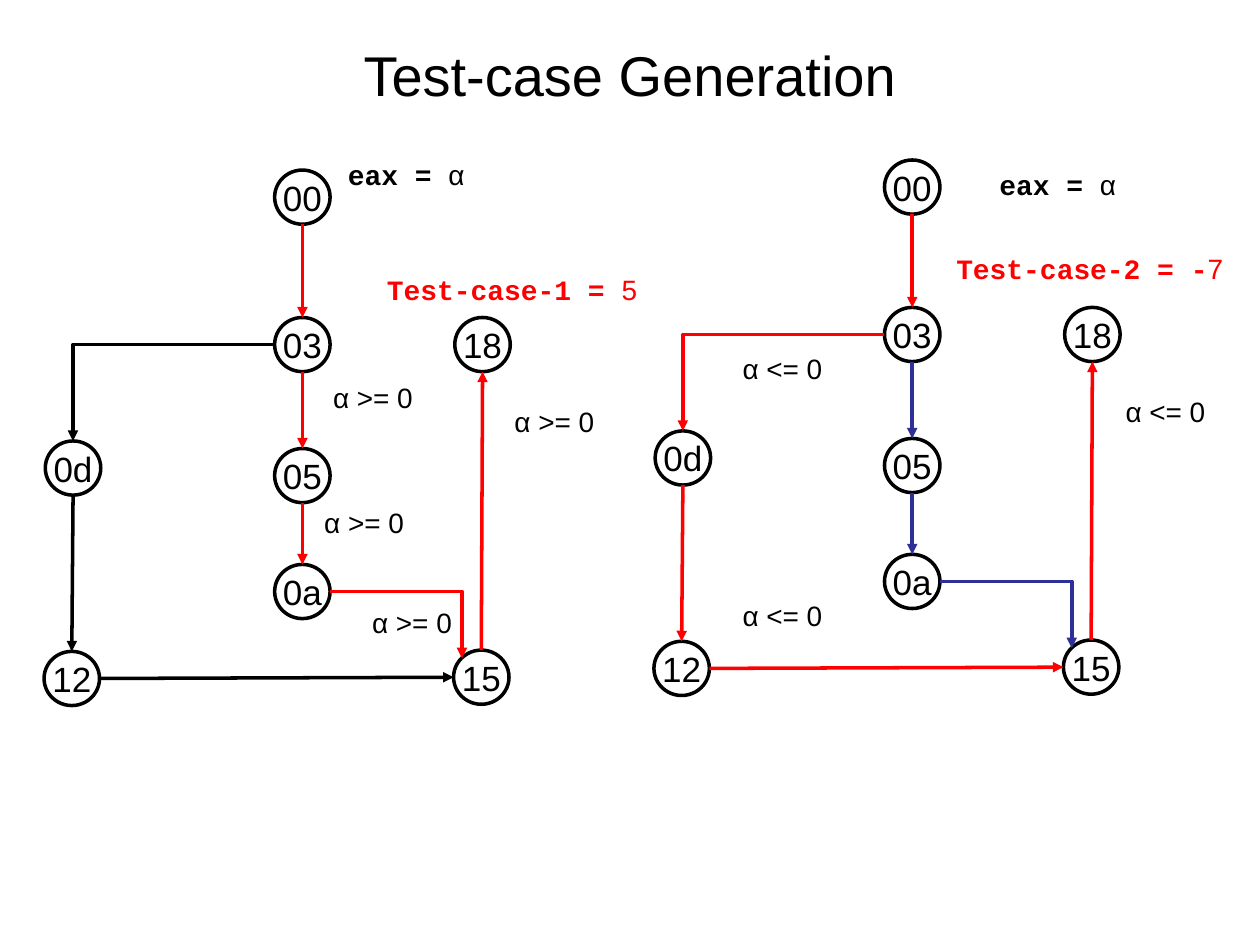
from lxml import etree
from pptx import Presentation
from pptx.dml.color import RGBColor
from pptx.enum.shapes import MSO_CONNECTOR, MSO_SHAPE
from pptx.enum.text import MSO_ANCHOR, MSO_AUTO_SIZE, PP_ALIGN
from pptx.oxml.ns import qn
from pptx.util import Inches, Pt

STRAIGHT, ELBOW = MSO_CONNECTOR.STRAIGHT, MSO_CONNECTOR.ELBOW
OVAL = MSO_SHAPE.OVAL
MIDDLE, TOP = MSO_ANCHOR.MIDDLE, MSO_ANCHOR.TOP
CENTER = PP_ALIGN.CENTER
GROW = MSO_AUTO_SIZE.SHAPE_TO_FIT_TEXT

BLACK = RGBColor(0x00, 0x00, 0x00)
WHITE = RGBColor(0xFF, 0xFF, 0xFF)
RED = RGBColor(0xFF, 0x00, 0x00)
BLUE = RGBColor(0x2F, 0x2F, 0x98)

TITLE = "Test-case Generation"
NODE_WIDTH, NODE_HEIGHT = 0.44, 0.43
LABEL_SIZE = (1, 0.64)

# Left and top of each node in the first graph
NODES = {
    "00": (2.18, 1.35), "03": (2.18, 2.52), "05": (2.18, 3.56),
    "0a": (2.18, 4.48), "12": (0.35, 5.17), "0d": (0.36, 3.5),
    "15": (3.6, 5.16), "18": (3.61, 2.52),
}
# Position of each attachment point as a fraction of the node
SIDES = {
    "top": (0.5, 0), "left": (0, 0.5), "bottom": (0.5, 1),
    "right": (1, 0.5), "top left": (0.15, 0.15),
}
# Kind, start node, start side, end node, end side, branch of the program
EDGES = [
    (STRAIGHT, "00", "bottom", "03", "top", "shared"),
    (STRAIGHT, "03", "bottom", "05", "top", "positive"),
    (ELBOW, "03", "left", "0d", "top", "negative"),
    (STRAIGHT, "0d", "bottom", "12", "top", "negative"),
    (STRAIGHT, "12", "right", "15", "left", "negative"),
    (STRAIGHT, "05", "bottom", "0a", "top", "positive"),
    (STRAIGHT, "15", "top", "18", "bottom", "shared"),
    (ELBOW, "0a", "right", "15", "top left", "positive"),
]
GRAPHS = [
    {
        "offset": (0, 0),
        "colors": {"shared": RED, "positive": RED, "negative": BLACK},
        "condition": "α >= 0",
        "labels": [(2.46, 2.96), (2.39, 3.95), (2.77, 4.75), (3.9, 3.15)],
    },
    {
        "offset": (4.84, -0.08),
        "colors": {"shared": RED, "positive": BLUE, "negative": RED},
        "condition": "α <= 0",
        "labels": [(5.71, 2.73), (5.71, 4.69), (8.75, 3.07)],
    },
]
# Left, top, width, height, code part, value part, colour
CAPTIONS = [
    (2.61, 1.19, 1.29, 0.38, "eax = ", "α ", BLACK),
    (7.78, 1.27, 1.29, 0.38, "eax = ", "α ", BLACK),
    (2.93, 2.1, 2.33, 0.38, "Test-case-1 = ", "5 ", RED),
    (7.45, 1.94, 2.46, 0.38, "Test-case-2 = -", "7 ", RED),
]


def add_span(paragraph, text, size, color=BLACK, font="Arial", bold=False):
    span = paragraph.add_run()
    span.text = text
    span.font.name, span.font.size, span.font.bold = font, Pt(size), bold
    span.font.color.rgb = color


def prepare_frame(shape, anchor, margin_x, margin_y):
    """Set anchor and margins, and return the centred first paragraph."""
    frame = shape.text_frame
    frame.vertical_anchor = anchor
    frame.margin_left = frame.margin_right = Inches(margin_x)
    frame.margin_top = frame.margin_bottom = Inches(margin_y)
    frame.paragraphs[0].alignment = CENTER
    return frame.paragraphs[0]


def add_label_box(shapes, *bounds):
    box = shapes.add_textbox(*map(Inches, bounds))
    box.text_frame.word_wrap = False
    box.text_frame.auto_size = GROW
    return prepare_frame(box, TOP, 0.11, 0.06)


def add_node(shapes, name, left, top):
    node = shapes.add_shape(OVAL, Inches(left), Inches(top),
                            Inches(NODE_WIDTH), Inches(NODE_HEIGHT))
    node.shadow.inherit = False
    node.fill.solid()
    node.fill.fore_color.rgb = WHITE
    node.line.color.rgb = BLACK
    node.line.width = Pt(2)
    add_span(prepare_frame(node, MIDDLE, 0, 0), name, 20)


def add_arrow(shapes, kind, start, end, color):
    arrow = shapes.add_connector(kind, *map(Inches, start + end))
    arrow.line.color.rgb = color
    arrow.line.width = Pt(2)
    line = arrow.line._get_or_add_ln()
    etree.SubElement(line, qn("a:tailEnd"), type="triangle")
    properties = arrow._element.spPr
    etree.SubElement(properties, qn("a:effectLst"))
    if kind == ELBOW:  # a single corner instead of two
        properties.find(qn("a:prstGeom")).set("prst", "bentConnector2")


def add_graph(page, graph):
    shapes = page.shapes.add_group_shape().shapes
    shift_x, shift_y = graph["offset"]
    places = {name: (left + shift_x, top + shift_y)
              for name, (left, top) in NODES.items()}

    def point(name, side):
        (left, top), (across, down) = places[name], SIDES[side]
        return left + across * NODE_WIDTH, top + down * NODE_HEIGHT

    for name, place in places.items():
        add_node(shapes, name, *place)
    for kind, source, source_side, target, target_side, branch in EDGES:
        add_arrow(shapes, kind, point(source, source_side),
                  point(target, target_side), graph["colors"][branch])
    for place in graph["labels"]:
        add_span(add_label_box(shapes, *place, *LABEL_SIZE),
                 graph["condition"], 16)


def main():
    deck = Presentation()
    deck.slide_width, deck.slide_height = Inches(10), Inches(7.5)
    page = deck.slides.add_slide(deck.slide_layouts[5])

    title = page.shapes.title
    title.left, title.top = Inches(0.5), Inches(0.13)
    title.width, title.height = Inches(9), Inches(0.91)
    add_span(prepare_frame(title, MIDDLE, 0.1, 0.05), TITLE, 32)

    for graph in GRAPHS:
        add_graph(page, graph)
    for *bounds, code, value, color in CAPTIONS:
        paragraph = add_label_box(page.shapes, *bounds)
        add_span(paragraph, code, 16, color, "Courier New", True)
        add_span(paragraph, value, 16, color)

    deck.save("out.pptx")


if __name__ == "__main__":
    main()
